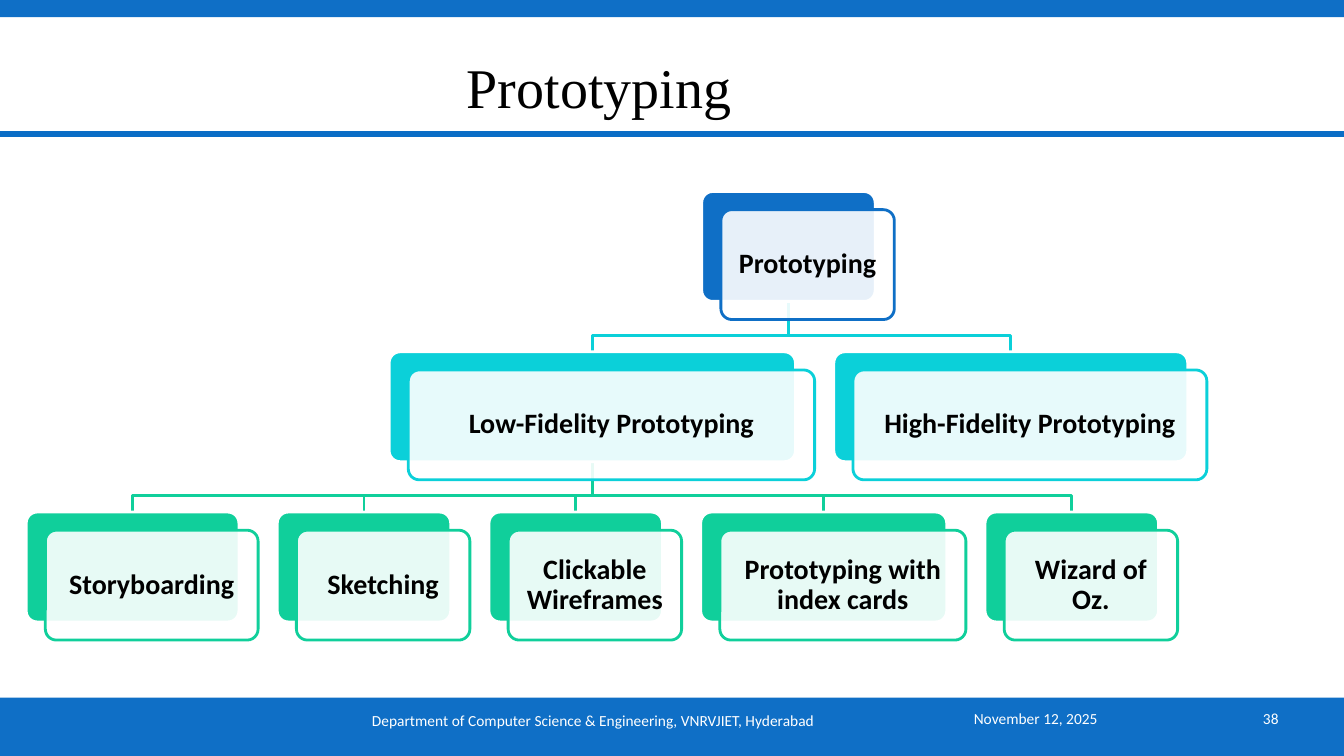
from dataclasses import dataclass

from lxml import etree
from pptx import Presentation
from pptx.dml.color import RGBColor
from pptx.enum.shapes import MSO_CONNECTOR, MSO_SHAPE
from pptx.enum.text import MSO_ANCHOR, PP_ALIGN
from pptx.oxml.ns import qn
from pptx.util import Inches, Pt

COLORS = {
    "blue": "0F6FC6",
    "rule": "0A6DC6",
    "cyan": "0BD0D9",
    "green": "10CF9B",
    "white": "FFFFFF",
    "black": "000000",
}
CARD_HEIGHT = 1.09
CARD_GAP = 0.38
FRONT_OFFSET_X, FRONT_OFFSET_Y = 0.19, 0.18
BRANCH_DROP = 0.34

# Each level: colour, left of first card, top, cards as (label, width)
LEVELS = [
    ("blue", 6.96, 1.9, [("Prototyping", 1.72)]),
    ("cyan", 3.86, 3.49, [("Low-Fidelity Prototyping", 4.03),
                          ("High-Fidelity Prototyping", 3.51)]),
    ("green", 0.26, 5.08, [("Storyboarding", 2.11), ("Sketching", 1.72),
                           ("Clickable Wireframes", 1.72),
                           ("Prototyping with index cards", 2.44),
                           ("Wizard of Oz.", 1.72)]),
]


@dataclass
class Card:
    label: str
    color: str
    left: float
    top: float
    width: float

    @property
    def center(self):
        return self.left + self.width / 2


def rgb(name):
    return RGBColor.from_string(COLORS[name])


def add_run(paragraph, text, size, color, font="Calibri", bold=False):
    run = paragraph.add_run()
    run.text = text
    run.font.name = font
    run.font.size = Pt(size)
    run.font.bold = bold
    run.font.color.rgb = rgb(color)


def add_box(slide, kind, left, top, width, height, fill, line=None):
    shape = slide.shapes.add_shape(
        kind, Inches(left), Inches(top), Inches(width), Inches(height))
    shape.shadow.inherit = False
    shape.fill.solid()
    shape.fill.fore_color.rgb = rgb(fill)
    if line:
        shape.line.color.rgb = rgb(line)
        shape.line.width = Pt(2)
    else:
        shape.line.fill.background()
    return shape


def set_opacity(shape, percent):
    color = shape.fill._xPr.find(qn("a:solidFill"))[0]
    etree.SubElement(color, qn("a:alpha")).set("val", str(percent * 1000))


def add_rule(slide, top):
    rule = slide.shapes.add_connector(
        MSO_CONNECTOR.STRAIGHT, 0, Inches(top), Inches(13.33), Inches(top))
    rule.line.color.rgb = rgb("rule")
    rule.line.width = Pt(4)
    etree.SubElement(rule._element.spPr, qn("a:effectLst"))


def add_title(slide, text):
    title = slide.shapes.title
    title.left, title.top = Inches(0.22), Inches(0.38)
    title.width, title.height = Inches(11.44), Inches(0.95)
    title.text_frame.vertical_anchor = MSO_ANCHOR.MIDDLE
    paragraph = title.text_frame.paragraphs[0]
    paragraph.alignment = PP_ALIGN.CENTER
    add_run(paragraph, text, 40, "black", "Times New Roman")


def add_footer_text(slide, text, left, top, width, alignment):
    box = slide.shapes.add_textbox(
        Inches(left), Inches(top), Inches(width), Inches(0.4))
    box.text_frame.word_wrap = True
    box.text_frame.vertical_anchor = MSO_ANCHOR.MIDDLE
    paragraph = box.text_frame.paragraphs[0]
    paragraph.alignment = alignment
    add_run(paragraph, text, 11, "white")


def lay_out_level(color, left, top, entries):
    """Place the cards of one level from left to right with equal gaps."""
    cards = []
    for label, width in entries:
        cards.append(Card(label, color, left, top, width))
        left += width + CARD_GAP
    return cards


def add_branch(slide, parent, child):
    """Draw the elbow line from a parent's bottom to a child's top."""
    start = parent.top + CARD_HEIGHT
    bend = start + BRANCH_DROP
    points = [(parent.center, bend), (child.center, bend),
              (child.center, child.top)]
    builder = slide.shapes.build_freeform(Inches(parent.center), Inches(start))
    builder.add_line_segments(
        [(Inches(x), Inches(y)) for x, y in points], close=False)
    branch = builder.convert_to_shape()
    branch.shadow.inherit = False
    branch.fill.background()
    branch.line.color.rgb = rgb(child.color)
    branch.line.width = Pt(2)


def add_card(slide, card):
    """Draw a solid back panel and a translucent labelled front panel."""
    back = add_box(slide, MSO_SHAPE.ROUNDED_RECTANGLE, card.left, card.top,
                   card.width, CARD_HEIGHT, card.color, "white")
    front = add_box(slide, MSO_SHAPE.ROUNDED_RECTANGLE,
                    card.left + FRONT_OFFSET_X, card.top + FRONT_OFFSET_Y,
                    card.width, CARD_HEIGHT, "white", card.color)
    for panel in (back, front):
        panel.adjustments[0] = 0.1
    set_opacity(front, 90)

    frame = front.text_frame
    frame.word_wrap = True
    frame.vertical_anchor = MSO_ANCHOR.MIDDLE
    frame.margin_left = frame.margin_right = Inches(0.08)
    frame.margin_top = frame.margin_bottom = Inches(0.08)
    paragraph = frame.paragraphs[0]
    paragraph.alignment = PP_ALIGN.CENTER
    paragraph.line_spacing = 0.9
    add_run(paragraph, card.label, 20, "black", bold=True)


def main():
    presentation = Presentation()
    presentation.slide_width = Inches(13.33)
    presentation.slide_height = Inches(7.5)
    slide = presentation.slides.add_slide(presentation.slide_layouts[5])

    add_box(slide, MSO_SHAPE.RECTANGLE, 0, 6.92, 13.33, 0.58, "blue")
    add_box(slide, MSO_SHAPE.RECTANGLE, 0, 0, 13.33, 0.17, "blue")
    add_rule(slide, 1.33)
    add_title(slide, "Prototyping")

    add_footer_text(slide, "November 12, 2025", 9.56, 6.93, 2, PP_ALIGN.LEFT)
    add_footer_text(
        slide,
        "Department of Computer Science & Engineering, VNRVJIET, Hyderabad",
        2.22, 6.95, 7.33, PP_ALIGN.CENTER)
    add_footer_text(slide, "38", 11.67, 6.93, 1.11, PP_ALIGN.RIGHT)

    levels = [lay_out_level(*level) for level in LEVELS]
    for parents, children in zip(levels, levels[1:]):
        for child in children:
            add_branch(slide, parents[0], child)
    for level in levels:
        for card in level:
            add_card(slide, card)

    presentation.save("out.pptx")


if __name__ == "__main__":
    main()
